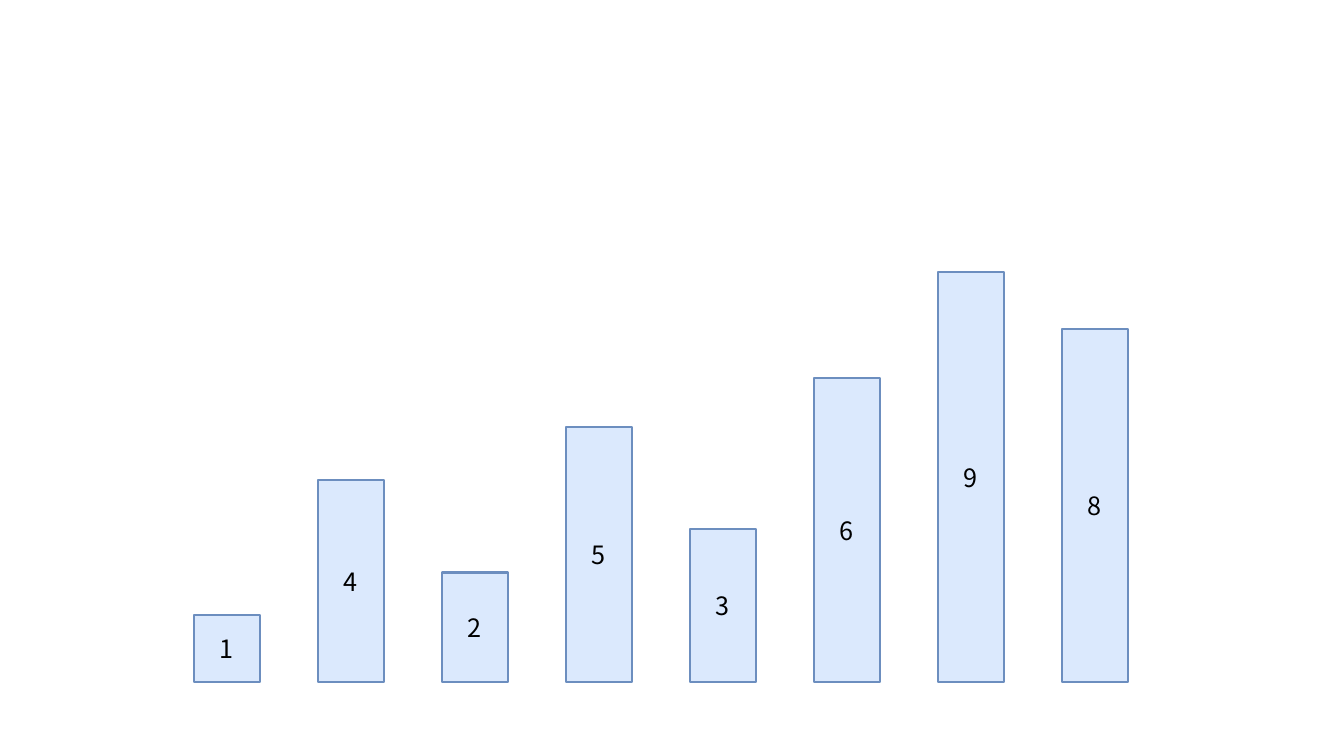
from pptx import Presentation
from pptx.dml.color import RGBColor
from pptx.enum.shapes import MSO_SHAPE
from pptx.enum.text import MSO_ANCHOR, PP_ALIGN
from pptx.util import Inches, Pt

RECTANGLE = MSO_SHAPE.RECTANGLE
MIDDLE = MSO_ANCHOR.MIDDLE
CENTER = PP_ALIGN.CENTER

BLANK_LAYOUT = 6
FIRST_LEFT = 1.92
BAR_PITCH = 1.23
BAR_WIDTH = 0.66
BASELINE = 6.77
BARS = [
    ("1", 0.67),
    ("4", 2.01),
    ("2", 1.09),
    ("5", 2.53),
    ("3", 1.52),
    ("6", 3.02),
    ("9", 4.07),
    ("8", 3.51),
]


def color(value):
    return RGBColor.from_string(value)


class SlideBuilder:
    font = "Noto Sans CJK SC"
    font_size = 18
    text_color = "000000"
    fill_color = "DBE9FD"
    line_color = "6C8EBF"
    line_width = 1.5

    def __init__(self, slide):
        self.slide = slide

    def bar(self, label, left, height):
        shape = self.slide.shapes.add_shape(
            RECTANGLE, Inches(left), Inches(BASELINE - height),
            Inches(BAR_WIDTH), Inches(height))
        shape.shadow.inherit = False
        shape.fill.solid()
        shape.fill.fore_color.rgb = color(self.fill_color)
        shape.line.color.rgb = color(self.line_color)
        shape.line.width = Pt(self.line_width)
        text_frame = shape.text_frame
        text_frame.text = label
        text_frame.vertical_anchor = MIDDLE
        paragraph = text_frame.paragraphs[0]
        paragraph.alignment = CENTER
        font = paragraph.runs[0].font
        font.name = self.font
        font.size = Pt(self.font_size)
        font.color.rgb = color(self.text_color)


def main():
    presentation = Presentation()
    presentation.slide_width = Inches(13.33)
    presentation.slide_height = Inches(7.5)
    layout = presentation.slide_layouts[BLANK_LAYOUT]
    builder = SlideBuilder(presentation.slides.add_slide(layout))
    for index, (label, height) in enumerate(BARS):
        builder.bar(label, FIRST_LEFT + index * BAR_PITCH, height)
    presentation.save("out.pptx")


if __name__ == "__main__":
    main()
